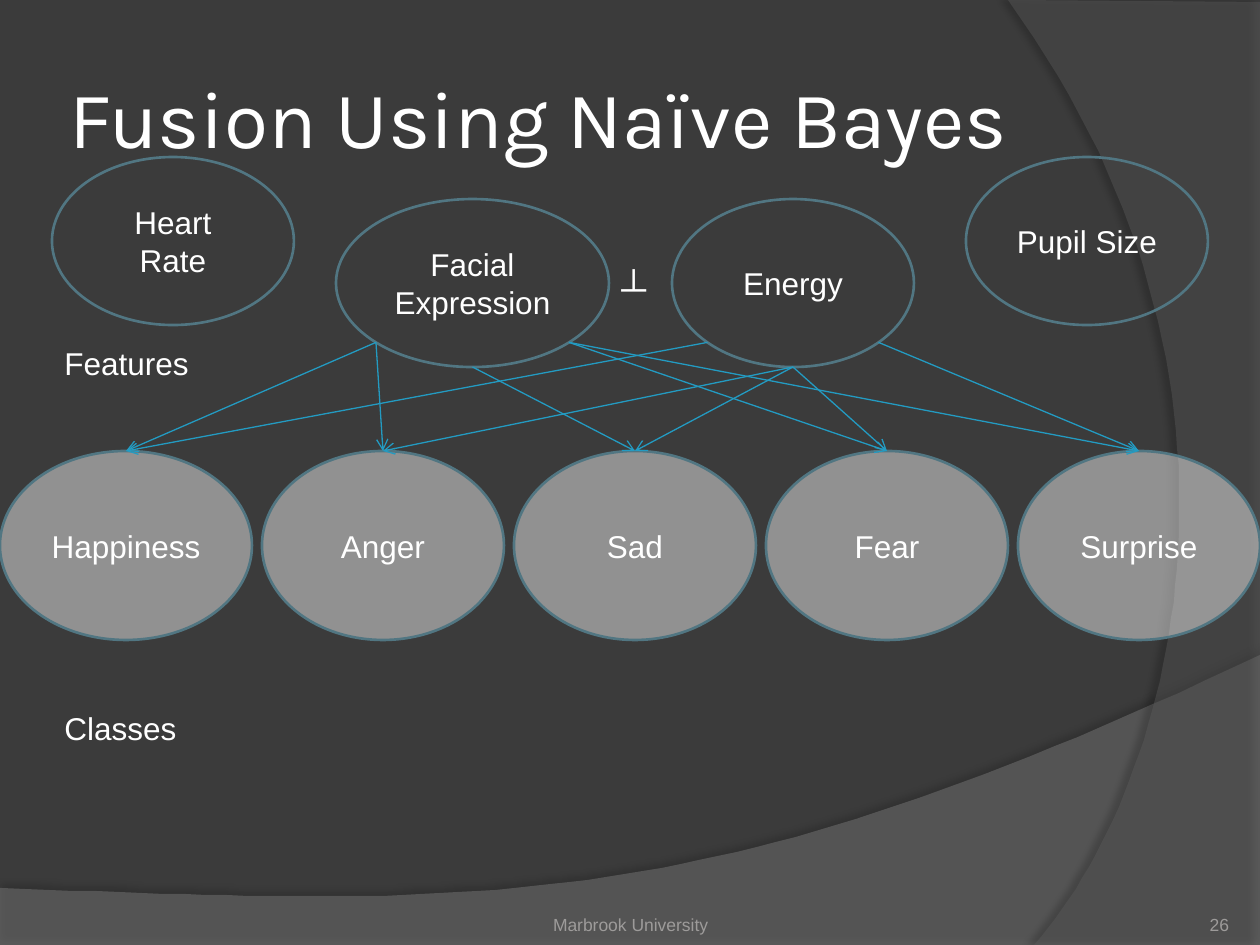
from lxml.etree import SubElement
from pptx import Presentation
from pptx.dml.color import RGBColor
from pptx.enum.shapes import MSO_CONNECTOR, MSO_SHAPE
from pptx.enum.text import MSO_ANCHOR, MSO_AUTO_SIZE, PP_ALIGN
from pptx.oxml.ns import qn
from pptx.util import Pt

SCALE = 914400 / 126
WIDE, HIGH = 1260, 945
DARK = RGBColor(0x3B, 0x3B, 0x3B)
WHITE = RGBColor(0xFF, 0xFF, 0xFF)
MUTED = RGBColor(0x9D, 0x9B, 0x9A)
RIM = RGBColor(0x51, 0x76, 0x82)
BLUE = RGBColor(0x23, 0x9B, 0xC2)
GREY = RGBColor(0x7F, 0x7F, 0x7F)
SLATE = RGBColor(0x5E, 0x5E, 0x5E)


def emu(*sizes):
    return [round(size * SCALE) for size in sizes]


def curve(start, pull, push, end, steps=60):
    points = []
    for step in range(steps + 1):
        t = step / steps
        u = 1 - t
        parts = (u ** 3, 3 * u * u * t, 3 * u * t * t, t ** 3)
        points.append(tuple(
            sum(part * spot[axis] for part, spot in zip(parts, (start, pull, push, end)))
            for axis in (0, 1)))
    return points


class Deck:
    font = "Arial"
    size = 18

    def __init__(self):
        self.file = Presentation()
        self.file.slide_width, self.file.slide_height = emu(WIDE, HIGH)
        self.slide = self.file.slides.add_slide(self.file.slide_layouts[5])
        self.shapes = self.slide.shapes
        self.slide.background.fill.solid()
        self.slide.background.fill.fore_color.rgb = DARK

    def letter(self, shape, text, size=size, color=WHITE, font=font,
               align=PP_ALIGN.LEFT, anchor=MSO_ANCHOR.MIDDLE):
        frame = shape.text_frame
        frame.text = text
        frame.word_wrap = True
        frame.vertical_anchor = anchor
        line = frame.paragraphs[0]
        line.alignment = align
        face = line.runs[0].font
        face.name, face.size, face.color.rgb = font, Pt(size), color
        return frame

    def paint(self, shape, color, alpha):
        shape.fill.solid()
        shape.fill.fore_color.rgb = color
        tint = shape._element.spPr.find(qn("a:solidFill"))[0]
        SubElement(tint, qn("a:alpha"), val=str(alpha * 1000))

    def wave(self, points, color, alpha, shade, gap, turn):
        form = self.shapes.build_freeform(*points[0], scale=SCALE)
        form.add_line_segments(points[1:], close=True)
        shape = form.convert_to_shape()
        self.paint(shape, color, alpha)
        shape.line.fill.background()
        shape.shadow.inherit = False
        glow = SubElement(shape._element.spPr.find(qn("a:effectLst")), qn("a:outerShdw"),
                          blurRad=str(Pt(4)), dist=str(Pt(gap)), dir=str(turn * 60000),
                          algn="ctr", rotWithShape="0")
        tint = SubElement(glow, qn("a:srgbClr"), val="000000")
        SubElement(tint, qn("a:alpha"), val=str(shade * 1000))

    def title(self, text, box):
        shape = self.shapes.title
        shape.left, shape.top, shape.width, shape.height = emu(*box)
        self.shapes._spTree.append(shape._element)
        frame = self.letter(shape, text, 46, font="Karla")
        frame.auto_size = MSO_AUTO_SIZE.NONE
        frame.margin_left = frame.margin_right = emu(6)[0]

    def label(self, text, box, **style):
        return self.letter(self.shapes.add_textbox(*emu(*box)), text, **style)

    def foot(self, text, box, align):
        frame = self.label(text, box, size=10, color=MUTED, align=align,
                           anchor=MSO_ANCHOR.BOTTOM)
        frame.margin_left = frame.margin_right = 0
        frame.margin_top = frame.margin_bottom = 0

    def oval(self, text, box, alpha=0):
        shape = self.shapes.add_shape(MSO_SHAPE.OVAL, *emu(*box))
        shape.shadow.inherit = False
        if alpha:
            self.paint(shape, WHITE, alpha)
        else:
            shape.fill.background()
        shape.line.color.rgb = RIM
        shape.line.width = Pt(1.5)
        self.letter(shape, text, align=PP_ALIGN.CENTER)

    def arrow(self, start, end):
        line = self.shapes.add_connector(MSO_CONNECTOR.STRAIGHT, *emu(*start, *end))
        line.line.color.rgb = BLUE
        line.line.width = Pt(0.75)
        SubElement(line._element.spPr.find(qn("a:ln")), qn("a:tailEnd"), type="arrow")
        SubElement(line._element.spPr, qn("a:effectLst"))


def port(box, side):
    left, top, width, height = box
    slant = 0.5 ** 0.5 if side else 1
    return left + width / 2 * (1 + side * slant), top + height / 2 * (1 + slant)


deck = Deck()
deck.wave([(0, HIGH), (WIDE, HIGH)]
          + curve((WIDE, 655), (704, 919), (493, 906), (0, 888)), GREY, 45, 35, 3.5, 270)
deck.wave([(WIDE, 2), (WIDE, HIGH)]
          + curve((1034, HIGH), (1178, 780), (1283, 378), (1008, 0)), SLATE, 40, 45, 4, 180)
deck.title("Fusion Using Naïve Bayes", (63, 38, 1029, 157))
deck.foot("Marbrook University", (431, 885, 399, 50), PP_ALIGN.CENTER)
deck.foot("26", (1124, 885, 105, 50), PP_ALIGN.RIGHT)

moods = {"Happiness": (0, 451, 252, 189)}
for place, mood in enumerate(("Anger", "Sad", "Fear", "Surprise")):
    moods[mood] = (262 + 252 * place, 451, 242, 189)
cues = {
    "Facial Expression": (336, 199, 273, 168),
    "Energy": (672, 199, 242, 168),
    "Heart Rate": (52, 157, 242, 168),
    "Pupil Size": (966, 157, 242, 168),
}
for mood, box in moods.items():
    deck.oval(mood, box, 44)
for cue, box in cues.items():
    deck.oval(cue, box)

sides = {"Facial Expression": (-1, -1, 0, 1, 1), "Energy": (-1, 0, 0, 0, 1)}
for cue, turns in sides.items():
    for side, (left, top, width, height) in zip(turns, moods.values()):
        deck.arrow(port(cues[cue], side), (left + width / 2, top))

deck.label("Features", (52, 338, 179, 50), anchor=MSO_ANCHOR.TOP)
deck.label("Classes", (52, 703, 147, 50), anchor=MSO_ANCHOR.TOP)
deck.label("┴", (609, 260, 63, 55), size=20)
deck.file.save("out.pptx")
